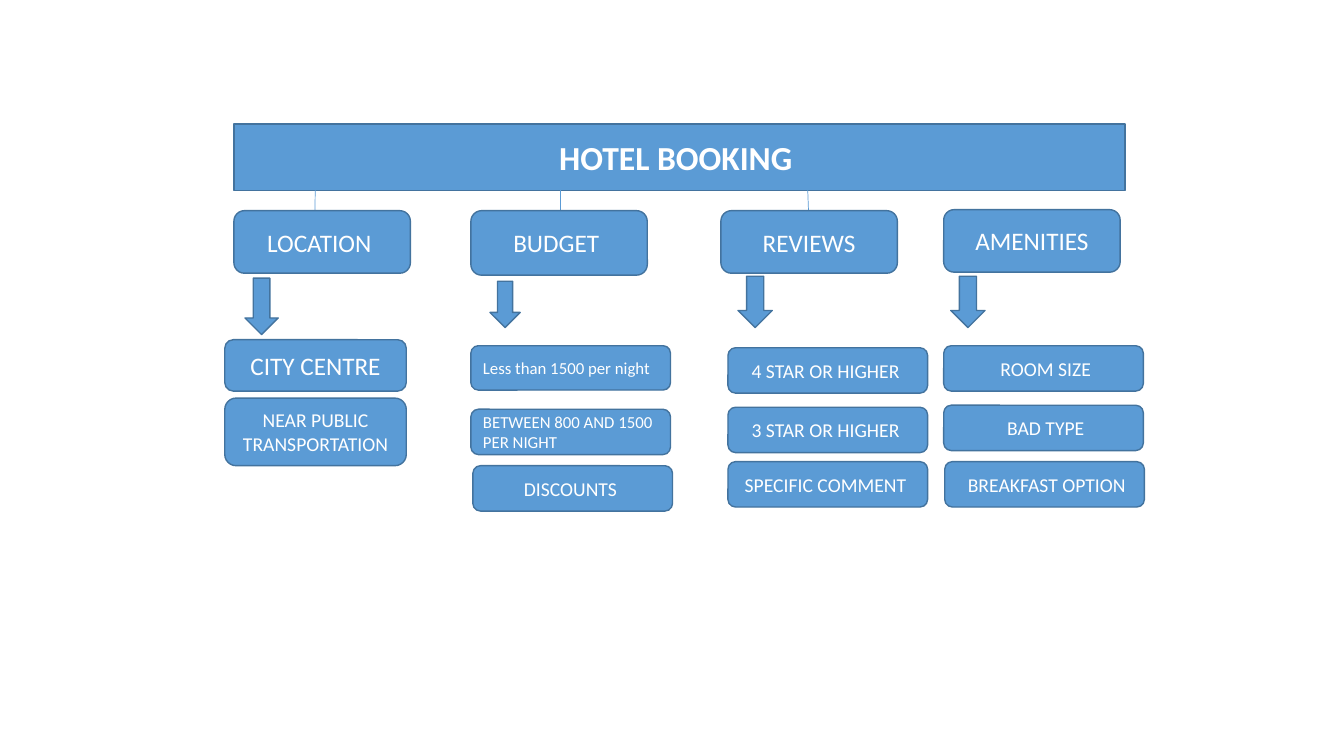
from lxml import etree
from pptx import Presentation
from pptx.dml.color import RGBColor
from pptx.enum.shapes import MSO_CONNECTOR, MSO_SHAPE
from pptx.enum.text import MSO_ANCHOR, PP_ALIGN
from pptx.oxml.ns import qn
from pptx.util import Inches, Pt

RECT = MSO_SHAPE.RECTANGLE
ROUND = MSO_SHAPE.ROUNDED_RECTANGLE
DOWN = MSO_SHAPE.DOWN_ARROW
STRAIGHT = MSO_CONNECTOR.STRAIGHT
MIDDLE = MSO_ANCHOR.MIDDLE
LEFT, CENTER = PP_ALIGN.LEFT, PP_ALIGN.CENTER

FONT = "Calibri"
COLORS = {"fill": "5B9BD5", "edge": "43739E", "text": "FFFFFF"}
HEAD_W, ITEM_W, ITEM_H = 1.75, 1.98, 0.45

LINKS = [(3.13, 1.57, 3.12, 2.47), (5.56, 1.79, 5.56, 2.38), (8.01, 1.85, 8.03, 2.39)]

TOPICS = [
    {"head": ("LOCATION ", 2.32, 2.09, 0.62),
     "arrow": (2.43, 2.76, 0.33, 0.56),
     "items": [("CITY CENTRE", 2.23, 3.37, 1.8, 0.51, 18, CENTER),
               ("NEAR PUBLIC TRANSPORTATION", 2.23, 3.95, 1.8, 0.67, 14, CENTER)]},
    {"head": ("BUDGET ", 4.67, 2.09, 0.64),
     "arrow": (4.86, 2.79, 0.3, 0.46),
     "items": [("Less than 1500 per night", 4.67, 3.43, ITEM_W, 0.44, 12, LEFT),
               ("BETWEEN 800 AND 1500 PER NIGHT", 4.67, 4.06, ITEM_W, ITEM_H, 12, LEFT),
               ("DISCOUNTS ", 4.69, 4.62, ITEM_W, ITEM_H, 14, CENTER)]},
    {"head": ("REVIEWS", 7.15, 2.09, 0.62),
     "arrow": (7.32, 2.74, 0.34, 0.51),
     "items": [("4 STAR OR HIGHER ", 7.22, 3.45, ITEM_W, ITEM_H, 14, CENTER),
               ("3 STAR OR HIGHER ", 7.22, 4.04, ITEM_W, ITEM_H, 14, CENTER),
               ("SPECIFIC COMMENT ", 7.22, 4.58, ITEM_W, ITEM_H, 14, CENTER)]},
    {"head": ("AMENITIES", 9.36, 2.08, 0.62),
     "arrow": (9.43, 2.74, 0.34, 0.51),
     "items": [(" ROOM SIZE", 9.36, 3.43, ITEM_W, ITEM_H, 14, CENTER),
               (" BAD TYPE", 9.36, 4.02, ITEM_W, ITEM_H, 14, CENTER),
               (" BREAKFAST OPTION", 9.37, 4.58, ITEM_W, ITEM_H, 14, CENTER)]},
]


def color(name):
    """Return a named colour."""
    return RGBColor.from_string(COLORS[name])


def add_form(slide, kind, left, top, width, height):
    """Add a filled and outlined shape."""
    form = slide.shapes.add_shape(kind, *map(Inches, (left, top, width, height)))
    form.shadow.inherit = False
    form.fill.solid()
    form.fill.fore_color.rgb = color("fill")
    form.line.color.rgb = color("edge")
    form.line.width = Pt(1)
    return form


def add_label(form, text, size, align=CENTER, bold=False):
    """Write one line of text into a shape."""
    frame = form.text_frame
    frame.word_wrap = True
    frame.vertical_anchor = MIDDLE
    frame.text = text
    para = frame.paragraphs[0]
    para.alignment = align
    font = para.runs[0].font
    font.name, font.size, font.bold = FONT, Pt(size), bold
    font.color.rgb = color("text")


def add_link(slide, ends):
    """Add a thin line between two points."""
    link = slide.shapes.add_connector(STRAIGHT, *map(Inches, ends))
    link.line.color.rgb = color("fill")
    link.line.width = Pt(0.5)
    etree.SubElement(link._element.spPr, qn("a:effectLst"))


def add_topic(slide, topic):
    """Add a heading, its arrow and its options."""
    text, left, top, height = topic["head"]
    add_label(add_form(slide, ROUND, left, top, HEAD_W, height), text, 18)
    add_form(slide, DOWN, *topic["arrow"])
    for text, left, top, width, height, size, align in topic["items"]:
        add_label(add_form(slide, ROUND, left, top, width, height), text, size, align)


def main():
    """Build the hotel booking chart."""
    deck = Presentation()
    deck.slide_width, deck.slide_height = Inches(13.33), Inches(7.5)
    slide = deck.slides.add_slide(deck.slide_layouts[6])
    banner = add_form(slide, RECT, 2.32, 1.23, 8.84, 0.66)
    add_label(banner, "HOTEL BOOKING ", 24, bold=True)
    for ends in LINKS:
        add_link(slide, ends)
    for topic in TOPICS:
        add_topic(slide, topic)
    deck.save("out.pptx")


if __name__ == "__main__":
    main()
